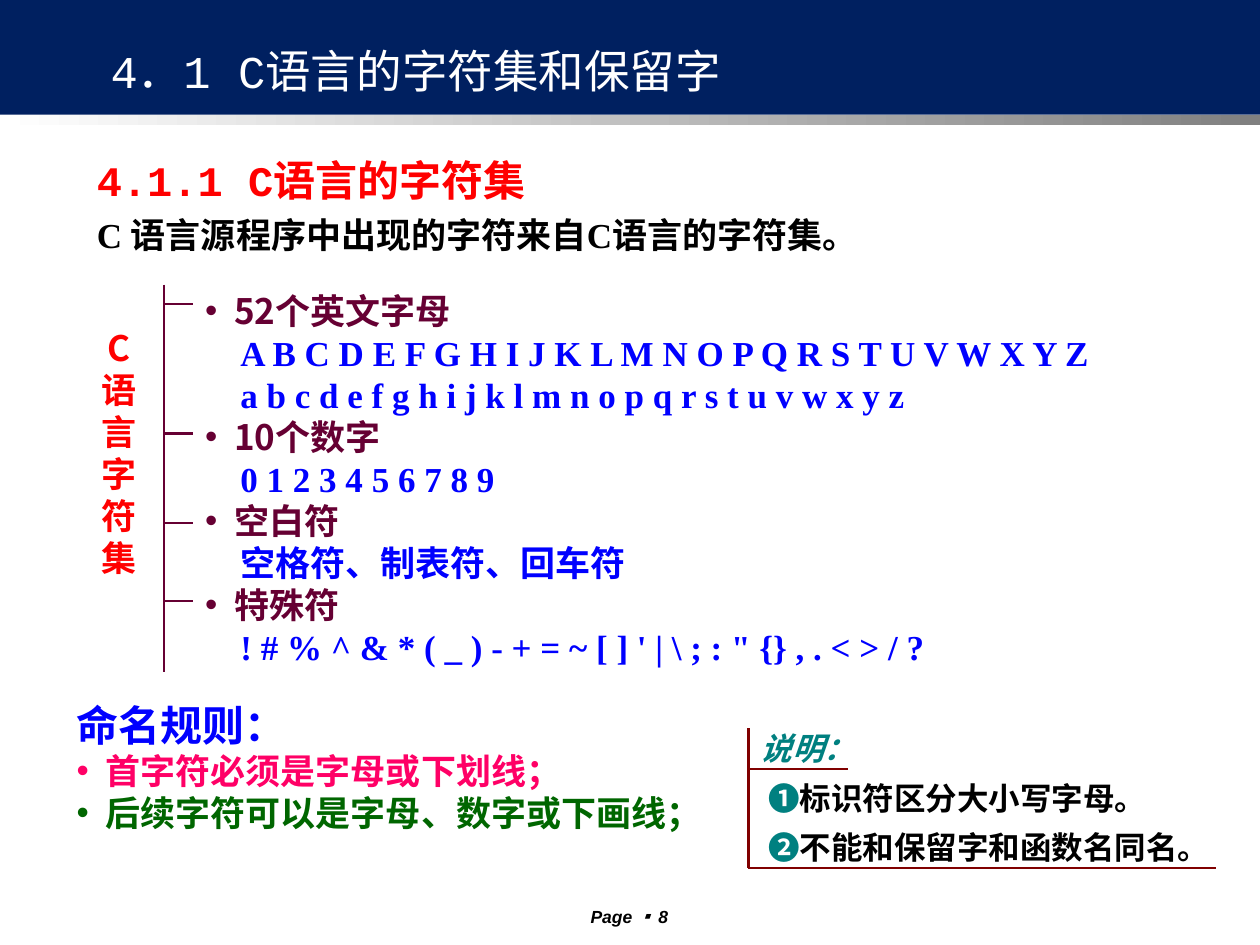
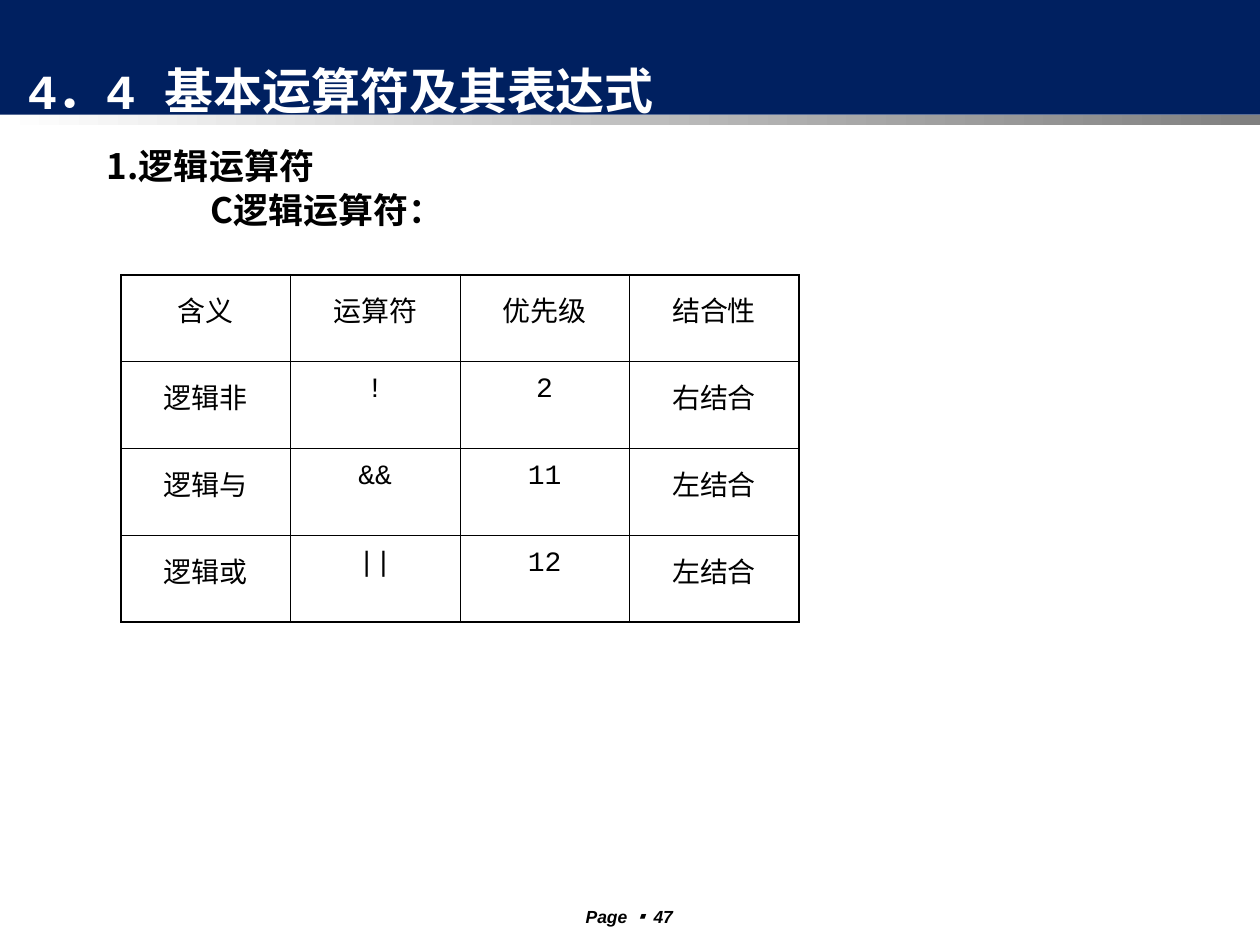
import pptx
import pptx.util
import pptx.dml.color
import pptx.enum.shapes
import pptx.enum.text
import pptx.oxml.ns
from dataclasses import dataclass
from lxml import etree

RGB = pptx.dml.color.RGBColor
NAVY = RGB(0x00, 0x20, 0x60)
WHITE = RGB(0xFF, 0xFF, 0xFF)
GRAY = RGB(0x80, 0x80, 0x80)
BLACK = RGB(0x00, 0x00, 0x00)
RED = RGB(0xFF, 0x00, 0x00)
BLUE = RGB(0x00, 0x00, 0xFF)
PLUM = RGB(0x66, 0x00, 0x33)
PINK = RGB(0xFF, 0x00, 0x66)
GREEN = RGB(0x00, 0x66, 0x00)
TEAL = RGB(0x00, 0x80, 0x80)
MAROON = RGB(0x80, 0x00, 0x00)

MONO = "Courier New"
SERIF = "Times New Roman"
SANS = "Arial"
HAN = "Noto Sans CJK SC"
HAN_JP = "Noto Sans CJK JP"

ALIGN = pptx.enum.text.PP_ALIGN
ANCHOR = pptx.enum.text.MSO_ANCHOR
SHAPE = pptx.enum.shapes.MSO_SHAPE
Pt = pptx.util.Pt

# The grid: 100 columns by 75 rows
COLS, ROWS = 100, 75
WIDE, HIGH = pptx.util.Inches(10), pptx.util.Inches(7.5)
LEAD = 1.2  # line height as a share of the text size


@dataclass
class Line:
    """One paragraph; each run is (text, colour, font)."""
    runs: list
    size: float = 20
    bold: bool = True
    ital: bool = False
    align: object = ALIGN.LEFT
    lead: object = LEAD
    indent: float = 0
    dot: bool = False
    gap: float = 0


def cols(count):
    return round(WIDE * count / COLS)


def rows(count):
    return round(HIGH * count / ROWS)


def node(parent, tag, **attrs):
    return etree.SubElement(parent, pptx.oxml.ns.qn(tag), **attrs)


class Deck:
    def __init__(self):
        self.file = pptx.Presentation()
        self.file.slide_width, self.file.slide_height = WIDE, HIGH
        self.slide = None

    # Slide with its bands and page number
    def page(self, number):
        self.slide = self.file.slides.add_slide(self.file.slide_layouts[6])
        band = self.rect(0, 0, COLS, 9.1)
        band.fill.solid()
        band.fill.fore_color.rgb = NAVY
        strip = self.rect(0, 9.1, COLS, 0.8)
        strip.fill.gradient()
        strip.fill.gradient_angle = 0
        for stop, color in zip(strip.fill.gradient_stops, (WHITE, GRAY)):
            stop.color.rgb = color
        runs = [("Page ", BLACK, SANS), ("▪ ", BLACK, HAN_JP), (str(number), BLACK, SANS)]
        self.text(42.1, 71.4, 15.7, 2.2,
                  [Line(runs, 10, ital=True, align=ALIGN.CENTER)])

    def rect(self, left, top, width, height):
        shape = self.slide.shapes.add_shape(
            SHAPE.RECTANGLE, cols(left), rows(top), cols(width), rows(height))
        shape.shadow.inherit = False
        shape.line.fill.background()
        return shape

    # Heading inside the navy band
    def title(self, left, top, width, height, words, **style):
        line = Line([(words, WHITE, MONO)], lead=None, **style)
        self.text(left, top, width, height, [line], ANCHOR.MIDDLE)

    def text(self, left, top, width, height, lines, anchor=ANCHOR.TOP):
        box = self.slide.shapes.add_textbox(
            cols(left), rows(top), cols(width), rows(height))
        frame = box.text_frame
        frame.word_wrap = True
        frame.vertical_anchor = anchor
        frame.text = "\n".join(line.runs[0][0] for line in lines)
        for index, (para, line) in enumerate(zip(frame.paragraphs, lines)):
            self.style(para, line, index == 0)

    def style(self, para, line, first=True):
        para.alignment = line.align
        if line.lead:
            para.line_spacing = Pt(round(line.lead * line.size, 2))
        if line.gap:
            para.space_after = Pt(line.gap)
            if not first:
                para.space_before = Pt(line.gap)
        props = para._p.get_or_add_pPr()
        props.set("marL", str(cols(line.indent)))
        props.set("indent", str(-cols(line.indent) if line.dot else 0))
        if line.dot:
            tint = node(props, "a:buClr")
            node(tint, "a:srgbClr", val=str(line.runs[0][1]))
            node(props, "a:buFont", typeface=SANS)
            node(props, "a:buChar", char="•")
        else:
            node(props, "a:buNone")
        for words, _, _ in line.runs[1:]:
            para.add_run().text = words
        for run, (_, color, face) in zip(para.runs, line.runs):
            font = run.font
            font.size, font.bold, font.italic = Pt(line.size), line.bold, line.ital
            font.color.rgb = color
            font.name = face
            node(run._r.get_or_add_rPr(), "a:ea",
                 typeface=HAN_JP if face == HAN_JP else HAN)

    def rule(self, x1, y1, x2, y2, color):
        line = self.slide.shapes.add_connector(
            pptx.enum.shapes.MSO_CONNECTOR.STRAIGHT,
            cols(x1), rows(y1), cols(x2), rows(y2))
        line.line.color.rgb = color
        line.line.width = Pt(1.25)
        node(line._element.spPr, "a:effectLst")

    def table(self, left, top, width, height, data):
        high, wide = len(data), len(data[0])
        frame = self.slide.shapes.add_table(
            high, wide, cols(left), rows(top), cols(width), rows(height))
        grid = frame.table
        grid.first_row = grid.horz_banding = False
        for r, values in enumerate(data):
            for c, value in enumerate(values):
                cell = grid.cell(r, c)
                cell.text = value
                para = cell.text_frame.paragraphs[0]
                self.style(para, Line([(value, BLACK, MONO)], 16, False,
                                      align=ALIGN.CENTER, lead=None))
                para.line_spacing = 1.2
                outer = {"a:lnL": c == 0, "a:lnR": c == wide - 1,
                         "a:lnT": r == 0, "a:lnB": r == high - 1}
                self.edges(cell, outer)
                cell.fill.background()

    def edges(self, cell, outer):
        props = cell._tc.get_or_add_tcPr()
        for tag, thick in outer.items():
            edge = node(props, tag, w=str(Pt(1.08 if thick else 0.45)))
            node(node(edge, "a:solidFill"), "a:srgbClr", val=str(BLACK))


def charset(deck):
    deck.page(8)
    deck.title(5.9, 2.8, 54.2, 5.6, "4．1 C语言的字符集和保留字",
               size=26, bold=False, align=ALIGN.CENTER)
    deck.text(6.7, 11, 77.2, 9.8, [
        Line([("4.1.1 C语言的字符集", RED, MONO)], 24, lead=1.44),
        Line([("C 语言源程序中出现的字符来自C语言的字符集。", BLACK, SERIF)], lead=1.44)])

    # Tree of character groups
    deck.text(6.7, 25.4, 5.5, 21,
              [Line([("C语言字符集", RED, HAN)], align=ALIGN.CENTER)])
    deck.rule(13, 22.6, 13, 53.3, PLUM)
    for y in (24.1, 34.4, 41.5, 47.7):
        deck.rule(13, y, 15.3, y, PLUM)
    groups = {
        "52个英文字母": ["A B C D E F G H I J K L M N O P Q R S T U V W X Y Z",
                    "a b c d e f g h i j k l m n o p q r s t u v w x y z"],
        "10个数字": ["0 1 2 3 4 5 6 7 8 9"],
        "空白符": ["空格符、制表符、回车符"],
        "特殊符": ["! # % ^ & * ( _ ) - + = ~ [ ] ' | \\ ; : \" {} , . < > / ?"],
    }
    lines = []
    for name, items in groups.items():
        lines.append(Line([(name, PLUM, HAN_JP)], indent=2.3, dot=True))
        lines += [Line([(item, BLUE, SERIF)], indent=2.8) for item in items]
    deck.text(15.3, 22.5, 74, 31, lines)

    # Naming rules
    deck.text(5.1, 55, 52, 12.6, [
        Line([("命名规则：", BLUE, MONO)], 24),
        Line([("首字符必须是字母或下划线；", PINK, MONO)], indent=2.3, dot=True),
        Line([("后续字符可以是字母、数字或下画线；", GREEN, MONO)], indent=2.3, dot=True)])

    # Framed remarks
    notes = [("❶", "标识符区分大小写字母。"), ("❷", "不能和保留字和函数名同名。")]
    deck.text(59.4, 56.5, 37.8, 12.7, [
        Line([("说明：", TEAL, SERIF)], 18, ital=True, lead=1.56),
        *(Line([(mark, TEAL, SANS), (words, BLACK, SERIF)], 18, lead=1.56, indent=0.6)
          for mark, words in notes)])
    deck.rule(59.4, 57.8, 59.4, 68.9, MAROON)
    deck.rule(59.4, 61, 67.3, 61, MAROON)
    deck.rule(59.4, 68.9, 96.5, 68.9, MAROON)


def logic(deck):
    deck.page(47)
    deck.text(7.5, 12, 43.3, 7.1, [
        Line([(words, BLACK, HAN)], lead=0.84, gap=4, indent=indent)
        for words, indent in (("1.逻辑运算符", 0), ("C逻辑运算符：", 8.2))])
    deck.table(9.6, 21.8, 53.8, 27.6, [
        ["含义", "运算符", "优先级", "结合性"],
        ["逻辑非", "!", "2", "右结合"],
        ["逻辑与", "&&", "11", "左结合"],
        ["逻辑或", "||", "12", "左结合"]])
    deck.title(1.2, 3.6, 55.1, 7.1, "4．4 基本运算符及其表达式", size=28)


def main():
    deck = Deck()
    charset(deck)
    logic(deck)
    deck.file.save("out.pptx")


if __name__ == "__main__":
    main()
